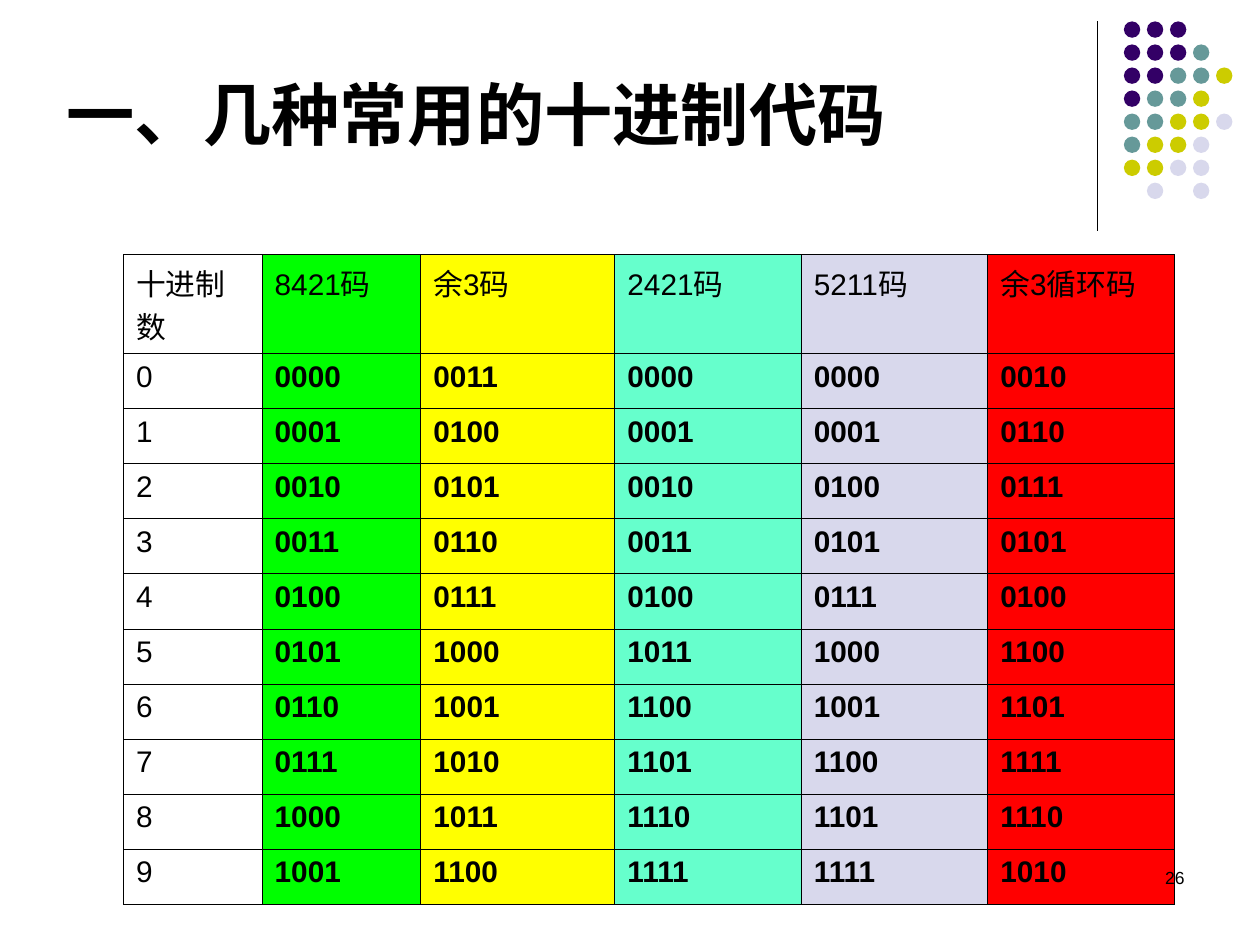
from dataclasses import dataclass

from lxml import etree
from pptx import Presentation
from pptx.dml.color import RGBColor
from pptx.enum.shapes import MSO_CONNECTOR as Connector, MSO_SHAPE as Shape
from pptx.enum.text import MSO_ANCHOR as Anchor, MSO_AUTO_SIZE as AutoSize, PP_ALIGN as Align
from pptx.oxml.ns import qn
from pptx.util import Inches, Pt


@dataclass(frozen=True)
class Theme:
    font: str = "Arial"
    black: str = "000000"
    dots: tuple = ("330066", "669999", "CCCC00", "D8D8EC")
    columns: tuple = (None, "00FF00", "FFFF00", "66FFCC", "D8D8EC", "FF0000")
    title_size: float = 39
    table_size: float = 17
    number_size: float = 10
    rule_width: float = 0.75
    border_width: float = 0.45


# Each digit picks a dot colour; a blank leaves the place empty
DOT_ROWS = ["000", "0001", "00112", "0112", "11223", "1223", "2233", " 3 3"]

HEADERS = ["十进制数", "8421码", "余3码", "2421码", "5211码", "余3循环码"]
CODES = [
    "0000 0011 0000 0000 0010",
    "0001 0100 0001 0001 0110",
    "0010 0101 0010 0100 0111",
    "0011 0110 0011 0101 0101",
    "0100 0111 0100 0111 0100",
    "0101 1000 1011 1000 1100",
    "0110 1001 1100 1001 1101",
    "0111 1010 1101 1100 1111",
    "1000 1011 1110 1101 1110",
    "1001 1100 1111 1111 1010",
]
COLUMN_WIDTHS = [1.1, 1.26, 1.54, 1.48, 1.48, 1.48]


class SlideBuilder:
    def __init__(self, slide, theme):
        self.slide = slide
        self.theme = theme

    def add_run(self, p, text, size, bold=False):
        r = p.add_run()
        r.text = text
        r.font.name = self.theme.font
        r.font.size = Pt(size)
        r.font.bold = bold
        r.font.color.rgb = RGBColor.from_string(self.theme.black)

    def title(self, text, left, top, width, height):
        sp = self.slide.shapes.title
        sp.left, sp.top = Inches(left), Inches(top)
        sp.width, sp.height = Inches(width), Inches(height)
        tf = sp.text_frame
        tf.word_wrap = True
        tf.auto_size = AutoSize.NONE
        tf.vertical_anchor = Anchor.TOP
        p = tf.paragraphs[0]
        p.alignment = Align.LEFT
        p.line_spacing = 0.9
        self.add_run(p, text, self.theme.title_size, bold=True)

    def rule(self, x, top, bottom):
        line = self.slide.shapes.add_connector(
            Connector.STRAIGHT, Inches(x), Inches(top), Inches(x), Inches(bottom))
        line.line.color.rgb = RGBColor.from_string(self.theme.black)
        line.line.width = Pt(self.theme.rule_width)
        etree.SubElement(line._element.spPr, qn("a:effectLst"))

    def dot_grid(self, rows, left, top, pitch, size):
        group = self.slide.shapes.add_group_shape()
        for i, row in enumerate(rows):
            for j, mark in enumerate(row):
                if mark == " ":
                    continue
                dot = group.shapes.add_shape(
                    Shape.OVAL, Inches(left + j * pitch), Inches(top + i * pitch),
                    Inches(size), Inches(size))
                dot.shadow.inherit = False
                dot.fill.solid()
                dot.fill.fore_color.rgb = RGBColor.from_string(self.theme.dots[int(mark)])
                dot.line.fill.background()

    def border(self, cell):
        tc_pr = cell._tc.get_or_add_tcPr()
        for i, side in enumerate(("lnL", "lnR", "lnT", "lnB")):
            ln = etree.Element(qn(f"a:{side}"), w=str(Pt(self.theme.border_width)))
            fill = etree.SubElement(ln, qn("a:solidFill"))
            etree.SubElement(fill, qn("a:srgbClr"), val=self.theme.black)
            tc_pr.insert(i, ln)

    def table(self, rows, widths, left, top, height, header_height):
        frame = self.slide.shapes.add_table(
            len(rows), len(widths), Inches(left), Inches(top),
            Inches(sum(widths)), Inches(height))
        table = frame.table
        for column, width in zip(table.columns, widths):
            column.width = Inches(width)
        body_height = (height - header_height) / (len(rows) - 1)
        for i, row in enumerate(rows):
            table.rows[i].height = Inches(body_height if i else header_height)
            for j, text in enumerate(row):
                cell = table.cell(i, j)
                color = self.theme.columns[j]
                if color:
                    cell.fill.solid()
                    cell.fill.fore_color.rgb = RGBColor.from_string(color)
                else:
                    cell.fill.background()
                self.border(cell)
                self.add_run(cell.text_frame.paragraphs[0], text,
                             self.theme.table_size, bold=i > 0 and j > 0)

    def page_number(self, text, left, top, width, height):
        sp = self.slide.shapes.add_textbox(
            Inches(left), Inches(top), Inches(width), Inches(height))
        tf = sp.text_frame
        tf.word_wrap = True
        p = tf.paragraphs[0]
        p.alignment = Align.RIGHT
        self.add_run(p, text, self.theme.number_size)


def main():
    prs = Presentation()
    prs.slide_width, prs.slide_height = Inches(10), Inches(7.5)
    title_only = prs.slide_layouts[5]
    s = SlideBuilder(prs.slides.add_slide(title_only), Theme())

    # Corner decoration
    s.rule(8.71, 0.17, 1.83)
    s.dot_grid(DOT_ROWS, left=8.92, top=0.17, pitch=1.28 / 7, size=0.13)

    # Heading
    s.title("一、几种常用的十进制代码", 0.43, 0.6, 8.9, 1.02)

    # Code table: one row per decimal digit
    rows = [HEADERS] + [[str(n), *codes.split()] for n, codes in enumerate(CODES)]
    s.table(rows, COLUMN_WIDTHS, left=0.98, top=2.02, height=5.12, header_height=0.75)

    # Page number
    s.page_number("26", 7.17, 6.83, 2.33, 0.5)

    prs.save("out.pptx")


if __name__ == "__main__":
    main()
